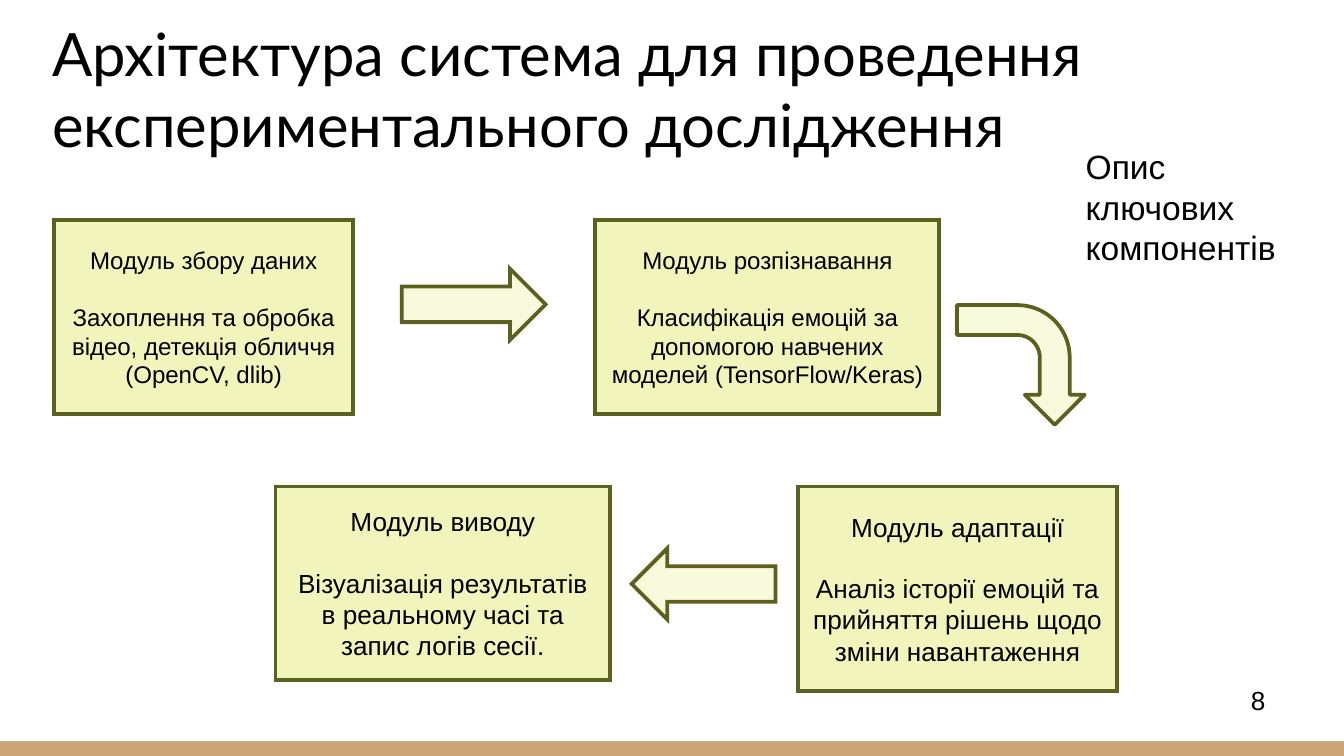
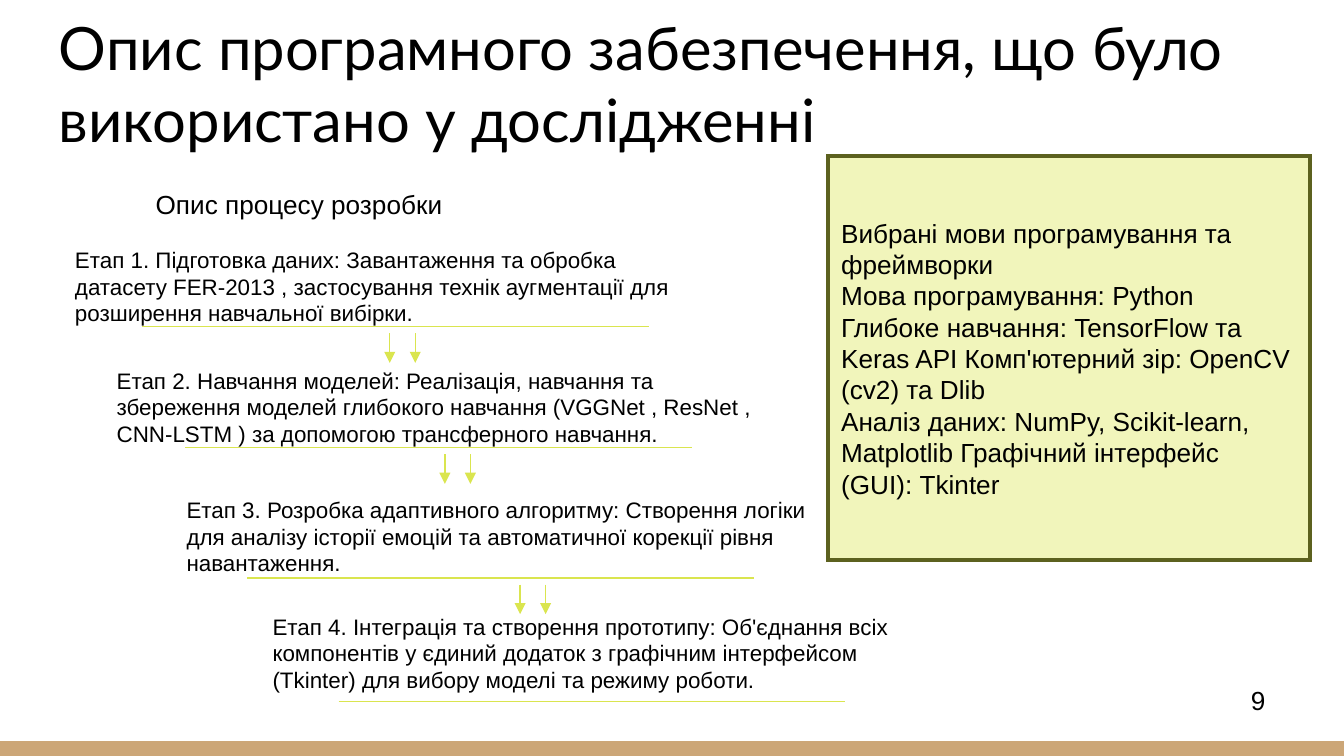
from lxml import etree
from pptx import Presentation
from pptx import util as u
from pptx.dml.color import RGBColor
from pptx.enum import shapes, text
from pptx.oxml.ns import qn

# Shared look
HUES = {"band": "CCA677", "box": "F1F5BB", "arrow": "F8FADD",
        "edge": "5C611F", "rule": "DAE54F", "ink": "000000"}
WIDE, BAND = 10, 0.11
HIGH = WIDE * 9 / 16
SHAPE, ALIGN, ANCHOR = shapes.MSO_SHAPE, text.PP_ALIGN, text.MSO_ANCHOR

# Slide 1: title, note, modules (head, body, size, place), arrows
ARCH = "Архітектура система для проведення експериментального дослідження"
NOTE = "Опис ключових компонентів"
MODULES = [
    ("Модуль збору даних",
     "Захоплення та обробка відео, детекція обличчя (OpenCV, dlib)",
     12.9, (0.4, 1.64, 2.23, 1.44)),
    ("Модуль розпізнавання",
     "Класифікація емоцій за допомогою навчених моделей (TensorFlow/Keras)",
     12.9, (4.43, 1.64, 2.56, 1.44)),
    ("Модуль адаптації",
     "Аналіз історії емоцій та прийняття рішень щодо зміни навантаження",
     14, (5.94, 3.62, 2.37, 1.52)),
    ("Модуль виводу",
     "Візуалізація результатів в реальному часі та запис логів сесії.",
     14, (2.05, 3.62, 2.49, 1.44)),
]
ARROWS = [
    (SHAPE.BENT_ARROW, (7.15, 2.24, 0.89, 0.95), 90),
    (SHAPE.RIGHT_ARROW, (2.99, 2, 1.07, 0.53), 0),
    (SHAPE.RIGHT_ARROW, (4.7, 4.08, 1.07, 0.53), 180),
]

# Slide 2: title, stages (text, place, rule start, arrow x), tools
SOFT = "Опис програмного забезпечення, що було використано у дослідженні"
PROCESS = "Опис процесу розробки"
STAGES = [
    ("Етап 1. Підготовка даних: Завантаження та обробка датасету FER-2013 , "
     "застосування технік аугментації для розширення навчальної вибірки.",
     (0.46, 1.78, 4.86, 0.7), (1.06, 2.43), 2.9),
    ("Етап 2. Навчання моделей: Реалізація, навчання та збереження моделей "
     "глибокого навчання (VGGNet , ResNet , CNN-LSTM ) за допомогою "
     "трансферного навчання.",
     (0.77, 2.68, 5, 0.7), (1.38, 3.33), 3.31),
    ("Етап 3. Розробка адаптивного алгоритму: Створення логіки для аналізу "
     "історії емоцій та автоматичної корекції рівня навантаження.",
     (1.29, 3.64, 5, 0.7), (1.84, 4.3), 3.87),
    ("Етап 4. Інтеграція та створення прототипу: Об'єднання всіх компонентів "
     "у єдиний додаток з графічним інтерфейсом (Tkinter) для вибору моделі "
     "та режиму роботи.",
     (1.93, 4.51, 5, 0.7), (2.52, 5.22), None),
]
RULE, PAIR, GAP, DROP = 3.77, 0.19, 0.05, 0.22
TOOLS = [
    "Вибрані мови програмування та фреймворки",
    "Мова програмування: Python",
    "Глибоке навчання: TensorFlow та Keras API Комп'ютерний зір: OpenCV (cv2) та Dlib",
    "Аналіз даних: NumPy, Scikit-learn, Matplotlib Графічний інтерфейс (GUI): Tkinter",
]


def hue(name):
    return RGBColor.from_string(HUES[name])


def inch(nums):
    return [u.Inches(n) for n in nums]


def points(size):
    return u.Centipoints(round(size * 100))


def write(shape, lines, size, face="Arial", align=ALIGN.LEFT,
          anchor=ANCHOR.TOP, pad=0.05, after=0):
    """Fill a shape with paragraphs; after is the space below the first."""
    frame = shape.text_frame
    form = {"word_wrap": True, "vertical_anchor": anchor,
            "margin_left": u.Inches(0.1), "margin_right": u.Inches(0.1),
            "margin_top": u.Inches(pad), "margin_bottom": u.Inches(pad)}
    for key, val in form.items():
        setattr(frame, key, val)
    for i, line in enumerate(lines):
        para = frame.add_paragraph() if i else frame.paragraphs[0]
        para.alignment = align
        run = para.add_run()
        run.text = line
        for key, val in {"size": points(size), "name": face}.items():
            setattr(run.font, key, val)
        run.font.color.rgb = hue("ink")
    if after:
        frame.paragraphs[0].space_after = points(after)


def label(slide, place, line, size, **form):
    write(slide.shapes.add_textbox(*inch(place)), [line], size, **form)


def block(slide, kind, place, fill, edge="edge"):
    shape = slide.shapes.add_shape(kind, *inch(place))
    shape.shadow.inherit = False
    shape.fill.solid()
    shape.fill.fore_color.rgb = hue(fill)
    if edge:
        shape.line.color.rgb = hue(edge)
        shape.line.width = u.Pt(2)
        # Sharp corners, except on the bent arrow
        if kind != SHAPE.BENT_ARROW:
            etree.SubElement(shape.line._get_or_add_ln(), qn("a:miter"),
                             lim="800000")
    else:
        shape.line.fill.background()
    return shape


def stroke(slide, start, end, head=False):
    line = slide.shapes.add_connector(
        shapes.MSO_CONNECTOR.STRAIGHT, *inch(start + end))
    line.line.color.rgb = hue("rule")
    line.line.width = u.Pt(0.75)
    if head:
        etree.SubElement(line.line._get_or_add_ln(), qn("a:tailEnd"),
                         type="triangle")
    etree.SubElement(line._element.spPr, qn("a:effectLst"))


def page(deck, title, place, num):
    """Blank slide with the bottom band, title and number."""
    slide = deck.slides.add_slide(deck.slide_layouts[6])
    block(slide, SHAPE.RECTANGLE, (0, HIGH - BAND, WIDE, BAND), "band", None)
    label(slide, place, title, 32, face="Lato", anchor=ANCHOR.BOTTOM, pad=0.1)
    label(slide, (9.21, 5.04, 0.7, 0.34), str(num), 14)
    return slide


def modules(deck):
    slide = page(deck, ARCH, (0.29, 0.38, 9.32, 0.91), 8)
    label(slide, (7.98, 1.04, 1.73, 1), NOTE, 18)
    for head, body, size, place in MODULES:
        box = block(slide, SHAPE.RECTANGLE, place, "box")
        # One empty line's height below the head
        write(box, [head, body], size, align=ALIGN.CENTER,
              anchor=ANCHOR.MIDDLE, after=size * 1.15)
    for kind, place, turn in ARROWS:
        block(slide, kind, place, "arrow").rotation = turn


def stages(deck):
    slide = page(deck, SOFT, (0.34, 0.16, 9.32, 1.09), 9)
    label(slide, (1.06, 1.35, 5, 0.34), PROCESS, 14)
    for line, place, (left, low), mid in STAGES:
        label(slide, place, line, 12)
        stroke(slide, (left, low), (left + RULE, low))
        # Pair of arrows down to the next stage
        if mid:
            for x in (mid, mid + PAIR):
                top = low + GAP
                stroke(slide, (x, top), (x, top + DROP), head=True)
    box = block(slide, SHAPE.RECTANGLE, (6.16, 1.16, 3.59, 3.01), "box")
    write(box, TOOLS, 14, anchor=ANCHOR.MIDDLE)


def main():
    deck = Presentation()
    deck.slide_width, deck.slide_height = inch((WIDE, HIGH))
    modules(deck)
    stages(deck)
    deck.save("out.pptx")


if __name__ == "__main__":
    main()
